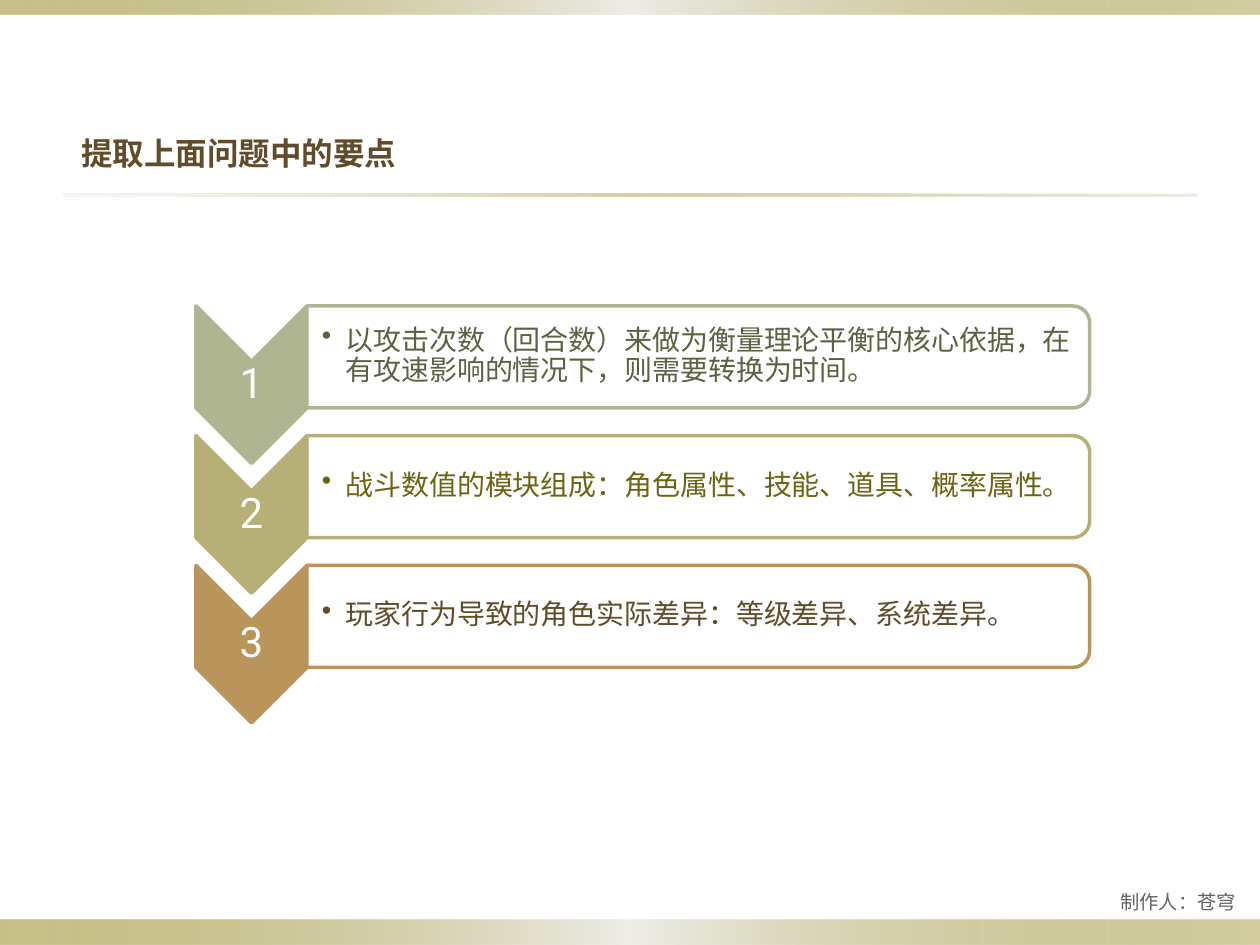
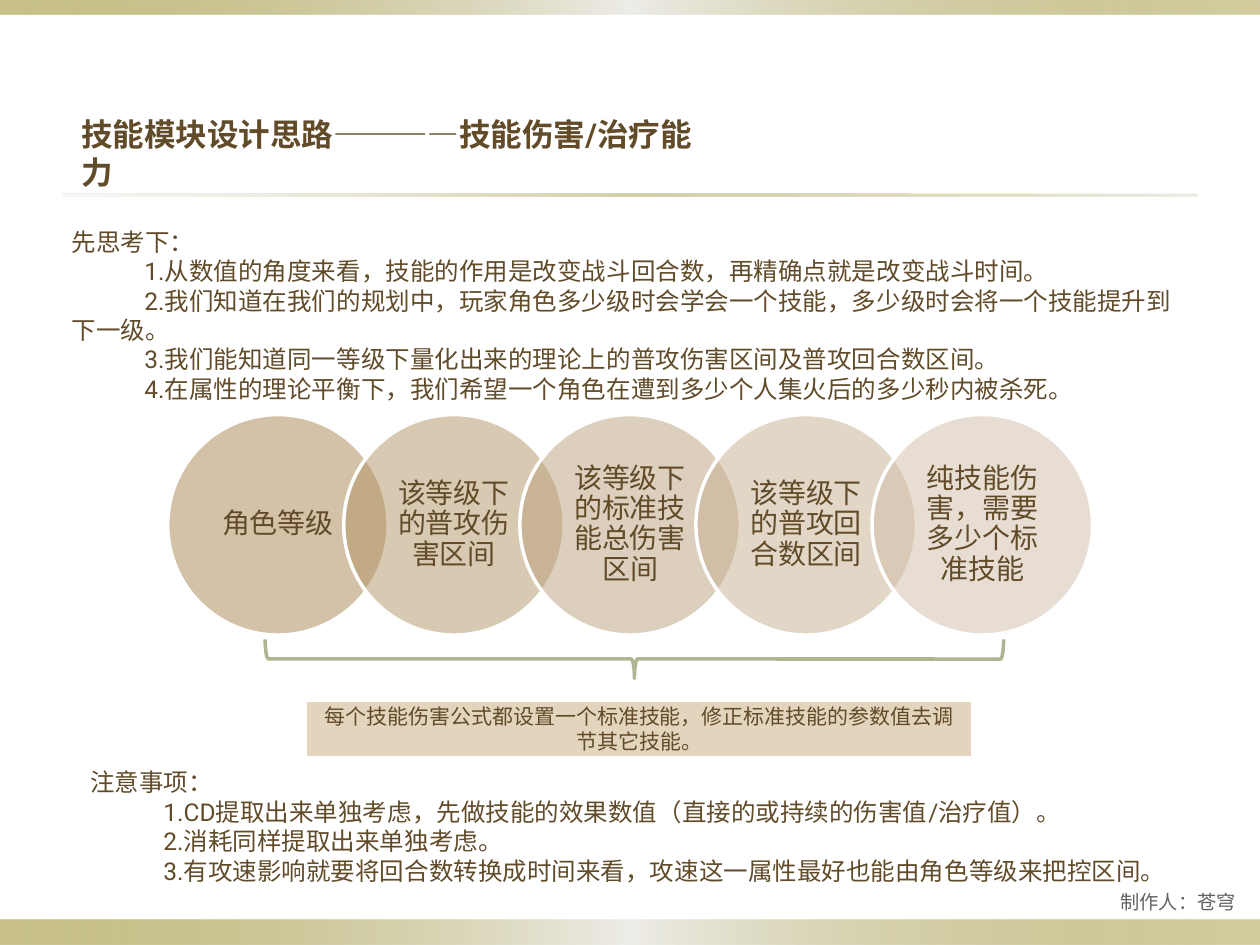
from dataclasses import dataclass

from lxml import etree
from pptx import Presentation
from pptx.dml.color import RGBColor
from pptx.enum.shapes import MSO_SHAPE as Preset
from pptx.enum.text import MSO_ANCHOR as Anchor, PP_ALIGN as Align
from pptx.oxml.ns import qn
from pptx.util import Pt


@dataclass(frozen=True)
class Theme:
    font: str = "Roboto"
    brown: str = "614B29"
    olive: str = "918415"
    silver: str = "EEEDE8"
    mist: str = "DCD9CC"
    white: str = "FFFFFF"
    sage: str = "AFB591"
    sand: str = "E3D4BD"
    grey: str = "636363"
    title: float = 18
    number: float = 24
    point: float = 16
    body: float = 14
    caption: float = 12
    footer: float = 11


THEME = Theme()
BAND_STOPS = [(0, THEME.olive, 50), (50, THEME.silver, 100), (100, THEME.olive, 40)]
RULE_STOPS = [(0, THEME.mist, 20), (50, THEME.olive, 40), (100, THEME.mist, 50)]

# Each key point: fill colour, text colour, wording
KEY_POINTS = [
    (THEME.sage, "5C6142",
     "以攻击次数（回合数）来做为衡量理论平衡的核心依据，在有攻速影响的情况下，则需要转换为时间。"),
    ("B6AF77", "6D6310", "战斗数值的模块组成：角色属性、技能、道具、概率属性。"),
    ("B9945B", THEME.brown, "玩家行为导致的角色实际差异：等级差异、系统差异。"),
]
SKILL_STEPS = [
    ("A88653", "角色等级"),
    ("B39466", "该等级下的普攻伤害区间"),
    ("BDA17C", "该等级下的标准技能总伤害区间"),
    ("C7AF91", "该等级下的普攻回合数区间"),
    ("D2BDA6", "纯技能伤害，需要多少个标准技能"),
]
QUESTIONS = [
    "1.从数值的角度来看，技能的作用是改变战斗回合数，再精确点就是改变战斗时间。",
    "2.我们知道在我们的规划中，玩家角色多少级时会学会一个技能，多少级时会将一个技能提升到下一级。",
    "3.我们能知道同一等级下量化出来的理论上的普攻伤害区间及普攻回合数区间。",
    "4.在属性的理论平衡下，我们希望一个角色在遭到多少个人集火后的多少秒内被杀死。",
]
CAUTIONS = [
    "1.CD提取出来单独考虑，先做技能的效果数值（直接的或持续的伤害值/治疗值）。",
    "2.消耗同样提取出来单独考虑。",
    "3.有攻速影响就要将回合数转换成时间来看，攻速这一属性最好也能由角色等级来把控区间。",
]


def set_alpha(colour_element, percent):
    etree.SubElement(colour_element, qn("a:alpha"), val=str(percent * 1000))


def add_preset(slide, preset, box, fill=None, alpha=100, line=None, weight=2, turned=False):
    """Draw a preset that covers box; turned rotates it a quarter clockwise."""
    left, top, width, height = box
    if turned:
        left, top = left + (width - height) / 2, top + (height - width) / 2
        width, height = height, width
    shape = slide.shapes.add_shape(preset, Pt(left), Pt(top), Pt(width), Pt(height))
    shape.shadow.inherit = False
    shape.rotation = 90 if turned else 0
    if fill:
        shape.fill.solid()
        shape.fill.fore_color.rgb = RGBColor.from_string(fill)
        if alpha < 100:
            set_alpha(shape.element.spPr.find(".//" + qn("a:srgbClr")), alpha)
    else:
        shape.fill.background()
    if line:
        shape.line.color.rgb = RGBColor.from_string(line)
        shape.line.width = Pt(weight)
    else:
        shape.line.fill.background()
    return shape


def add_gradient_bar(slide, box, stops):
    bar = add_preset(slide, Preset.RECTANGLE, box)
    bar.fill.gradient()
    bar.fill.gradient_angle = 0
    stop_list = bar.element.spPr.find(".//" + qn("a:gsLst"))
    for default_stop in list(stop_list):
        stop_list.remove(default_stop)
    for position, colour, alpha in stops:
        stop = etree.SubElement(stop_list, qn("a:gs"), pos=str(position * 1000))
        set_alpha(etree.SubElement(stop, qn("a:srgbClr"), val=colour), alpha)


def prepare_frame(holder, margins, anchor):
    """Set wrapping, anchor and left, top, right, bottom margins."""
    frame = holder.text_frame
    frame.word_wrap = True
    frame.vertical_anchor = anchor
    (frame.margin_left, frame.margin_top,
     frame.margin_right, frame.margin_bottom) = map(Pt, margins)
    return frame


def style_paragraph(paragraph, size, colour, align=Align.LEFT, spacing=None, bold=False):
    paragraph.alignment = align
    if spacing:
        paragraph.line_spacing = spacing
    font = paragraph.font
    font.name, font.size, font.bold = THEME.font, Pt(size), bold
    font.color.rgb = RGBColor.from_string(colour)


def write(holder, text, size, colour, margins=(7.2, 3.6, 7.2, 3.6), **style):
    paragraph = prepare_frame(holder, margins, Anchor.MIDDLE).paragraphs[0]
    paragraph.text = text
    style_paragraph(paragraph, size, colour, **style)
    return paragraph


def add_text_box(slide, box):
    return slide.shapes.add_textbox(*map(Pt, box))


def add_page(deck, title, title_width):
    """Add a slide with its bands, title, rule and footer."""
    slide = deck.slides.add_slide(deck.slide_layouts[6])
    add_gradient_bar(slide, (0, 525.6, 720, 14.4), BAND_STOPS)
    add_gradient_bar(slide, (0, 0, 720, 8.4), BAND_STOPS)
    add_gradient_bar(slide, (36, 110.9, 648, 1.4), RULE_STOPS)
    write(add_text_box(slide, (39.4, 56.2, title_width, 62)),
          title, THEME.title, THEME.brown, bold=True)
    write(add_text_box(slide, (420, 504, 293.5, 22.4)),
          "制作人：苍穹", THEME.footer, THEME.grey, align=Align.RIGHT)
    return slide


def add_key_point(slide, box, number, colour, text_colour, text):
    """Numbered chevron beside a bulleted panel; the chevron tip hangs below box."""
    left, top, width, height = box
    chevron_width = 63.4
    panel = (left + chevron_width, top, width - chevron_width, height)
    add_preset(slide, Preset.CHEVRON, (left, top, chevron_width, 90),
               fill=colour, line=colour, turned=True)
    write(add_text_box(slide, (left, top + 31.3, chevron_width, 27.4)),
          str(number), THEME.number, THEME.white, margins=(1.5,) * 4,
          align=Align.CENTER, spacing=0.9)
    add_preset(slide, Preset.ROUND_2_SAME_RECTANGLE, panel,
               fill=THEME.white, alpha=90, line=colour, turned=True)
    label = add_text_box(slide, (panel[0], top + 2.5, panel[2] - 2.9, height - 5.8))
    paragraph = label.text_frame.paragraphs[0]
    properties = paragraph._p.get_or_add_pPr()
    properties.set("marL", str(Pt(13.5)))
    properties.set("indent", str(Pt(-13.5)))
    etree.SubElement(properties, qn("a:buChar"), char="•")
    write(label, text, THEME.point, text_colour, margins=(8.6, 0.8, 0.8, 0.8), spacing=0.9)


def add_numbered_notes(slide, box, heading, items):
    frame = prepare_frame(add_text_box(slide, box), (7.2, 5.76, 7.2, 5.76), Anchor.TOP)
    frame.text = "\n".join([heading, *items])
    for index, paragraph in enumerate(frame.paragraphs):
        if index:
            paragraph._p.get_or_add_pPr().set("indent", str(Pt(41.7)))
        style_paragraph(paragraph, THEME.body, THEME.brown)


def add_step_circles(slide, box, steps):
    """Overlapping circles spread evenly over box, whose height is the diameter."""
    left, top, width, diameter = box
    pitch = (width - diameter) / (len(steps) - 1)
    for index, (colour, text) in enumerate(steps):
        circle = add_preset(slide, Preset.OVAL, (left + index * pitch, top, diameter, diameter),
                            fill=colour, alpha=50, line=THEME.white)
        write(circle, text, THEME.point, THEME.brown, margins=(7, 1.6, 7, 1.6),
              align=Align.CENTER, spacing=0.9)


def add_conclusion(slide, box, text):
    """Brace above a captioned bar."""
    left, top, width, height = box
    caption = add_preset(slide, Preset.RECTANGLE, (left + 22.7, top + 34.2, 382.3, height - 34.2),
                         fill=THEME.sand, line=THEME.white, weight=3)
    write(caption, text, THEME.caption, THEME.brown, align=Align.CENTER)
    add_preset(slide, Preset.RIGHT_BRACE, (left, top, width, 22.3),
               line=THEME.sage, turned=True)


def build_key_points_slide(deck):
    slide = add_page(deck, "提取上面问题中的要点", 478)
    left, top, pitch = 112, 174.8, 74.15
    for index, point in enumerate(KEY_POINTS):
        add_key_point(slide, (left, top + index * pitch, 510.7, 58.3), index + 1, *point)


def build_skill_slide(deck):
    slide = add_page(deck, "技能模块设计思路————技能伤害/治疗能力", 376.6)
    add_numbered_notes(slide, (33.8, 123.8, 652.3, 130.3), "先思考下：", QUESTIONS)
    add_step_circles(slide, (95.8, 236.9, 528.5, 126), SKILL_STEPS)
    add_numbered_notes(slide, (44.6, 432.7, 652.3, 79.2), "注意事项：", CAUTIONS)
    add_conclusion(slide, (151.5, 365.4, 422, 68),
                   "每个技能伤害公式都设置一个标准技能，修正标准技能的参数值去调节其它技能。")


def main():
    deck = Presentation()
    deck.slide_width, deck.slide_height = Pt(720), Pt(540)
    build_key_points_slide(deck)
    build_skill_slide(deck)
    deck.save("out.pptx")


if __name__ == "__main__":
    main()
